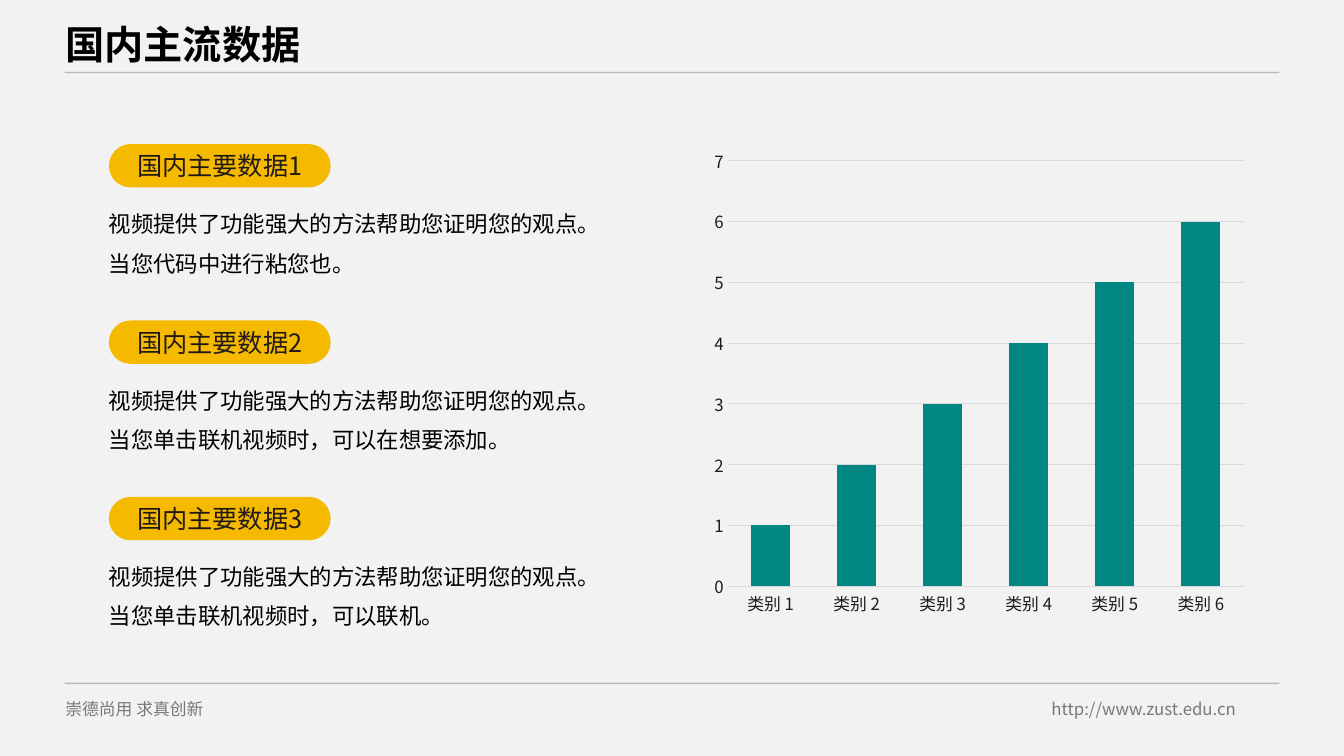
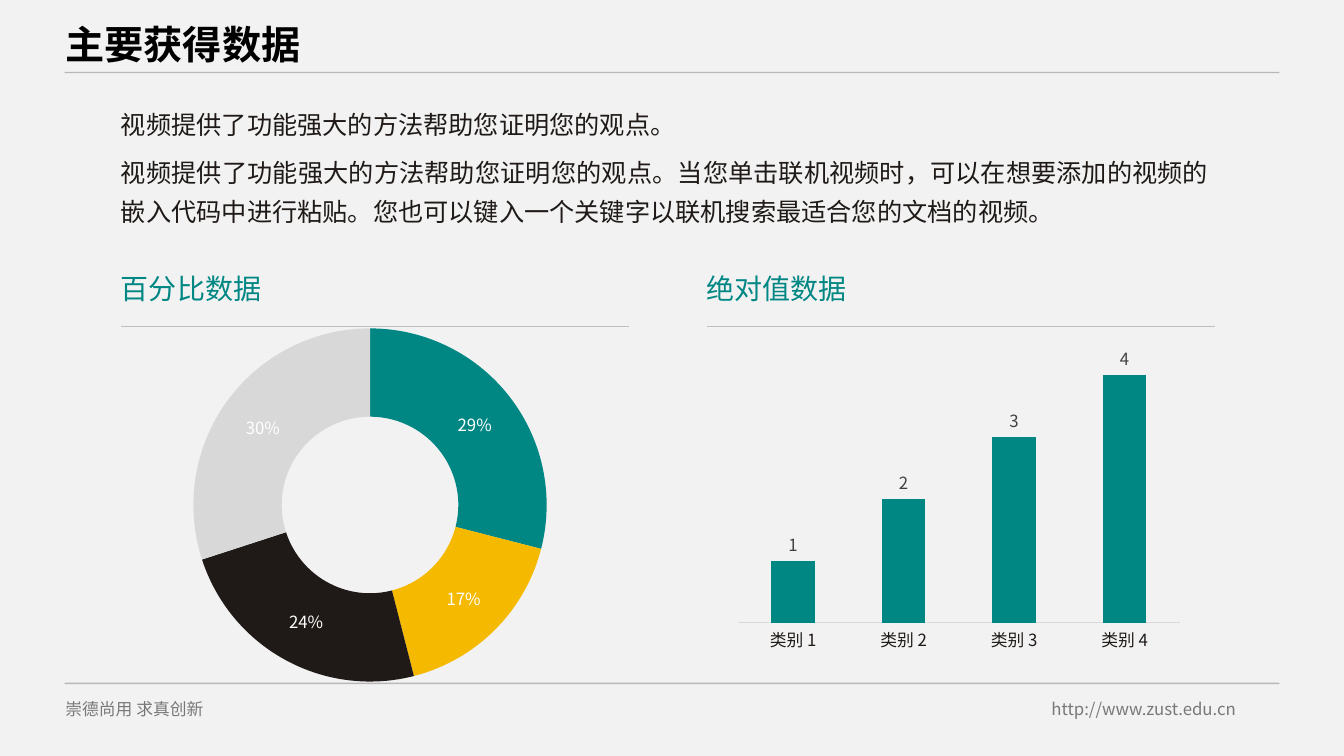
from lxml import etree
from pptx import Presentation
from pptx import util as u
from pptx.chart.data import CategoryChartData
from pptx.dml.color import RGBColor
from pptx.enum import chart as charts, shapes, text
from pptx.oxml import ns

FONT = "Noto Sans CJK SC"
BLACK, INK, TEAL, AMBER = "000000", "1F1A17", "008784", "F5B900"
PAPER, SILVER, GRID, RULE = "F2F2F2", "D8D8D8", "D9D9D9", "BFBFBF"
LABEL, WHITE = "404040", "FFFFFF"
JUSTIFY = text.PP_ALIGN.JUSTIFY
LEAD = "视频提供了功能强大的方法帮助您证明您的观点。"
PLOT_AREA = {"x": 0.048, "y": 0.031, "w": 0.921, "h": 0.789}


def inches(*lengths):
    return [u.Inches(length) for length in lengths]


def paint(fill, color, opacity=100):
    fill.solid()
    fill.fore_color.rgb = RGBColor.from_string(color)
    if opacity < 100:
        for node in fill._xPr.iter(ns.qn("a:srgbClr")):
            etree.SubElement(node, ns.qn("a:alpha")).set("val", str(opacity * 1000))


def style_font(font, size, color, bold=False, opacity=100):
    """Format a font, for Latin and East Asian letters alike."""
    font.size, font.bold, font.name = u.Pt(size), bold, FONT
    paint(font.fill, color, opacity)
    etree.SubElement(font._rPr, ns.qn("a:ea")).set("typeface", FONT)


def add_rule(page, left, top, width, color, weight, opacity=100):
    rule = page.shapes.add_connector(
        shapes.MSO_CONNECTOR.STRAIGHT, *inches(left, top, left + width, top))
    rule.line.width = u.Pt(weight)
    paint(rule.line.fill, color, opacity)
    etree.SubElement(rule.element.spPr, ns.qn("a:effectLst"))


def add_text(page, box, lines, size, color, insets=(0.1, 0.05, 0.1, 0.05),
             wrap=True, align=JUSTIFY, spacing=1.0, gap=0, opacity=100):
    frame = page.shapes.add_textbox(*inches(*box)).text_frame
    frame.word_wrap = wrap
    (frame.margin_left, frame.margin_top,
     frame.margin_right, frame.margin_bottom) = inches(*insets)
    frame.text = "\n".join(lines)
    for index, para in enumerate(frame.paragraphs):
        para.alignment, para.line_spacing = align, spacing
        if index:
            para.space_before = u.Pt(gap)
        style_font(para.font, size, color, opacity=opacity)


def dress_layout(deck, layout, page):
    """Draw rules and footers on a page, then move them to its layout."""
    paint(deck.slide_master.background.fill, PAPER)
    for holder in list(layout.placeholders):
        if holder.placeholder_format.idx:
            holder.element.getparent().remove(holder.element)
        else:
            holder.left, holder.top, holder.width, holder.height = inches(
                0.55, 0.19, 7.87, 0.53)
    for top in (0.72, 6.78):
        add_rule(page, 0.64, top, 12.05, BLACK, 1, 23)
    for left, words in ((0.55, "崇德尚用 求真创新"), (10.33, "http://www.zust.edu.cn")):
        add_text(page, (left, 6.88, 2.48, 0.3), [words], 12, BLACK, opacity=50)
    for shape in list(page.shapes):
        if not shape.is_placeholder:
            layout.shapes.element.append(shape.element)


def set_title(page, words):
    frame = page.shapes.title.text_frame
    frame.text = words
    frame.auto_size = text.MSO_AUTO_SIZE.NONE
    frame.vertical_anchor = text.MSO_ANCHOR.BOTTOM
    para = frame.paragraphs[0]
    para.alignment, para.line_spacing = text.PP_ALIGN.LEFT, 0.9
    style_font(para.font, 28, BLACK, bold=True)


def add_chart(page, box, kind, categories, values):
    data = CategoryChartData()
    data.categories = categories
    data.add_series("Series 1", values)
    chart = page.shapes.add_chart(kind, *inches(*box), data).chart
    chart.has_title = chart.has_legend = False
    style_font(chart.font, 10, BLACK)
    return chart


def fix_plot_area(chart):
    """Pin the inner plot area to set fractions of the chart."""
    area = chart._chartSpace.chart.plotArea
    for old in area.findall(ns.qn("c:layout")):
        area.remove(old)
    layout = etree.Element(ns.qn("c:layout"))
    manual = etree.SubElement(layout, ns.qn("c:manualLayout"))
    settings = {"layoutTarget": "inner", "xMode": "edge", "yMode": "edge", **PLOT_AREA}
    for name, value in settings.items():
        etree.SubElement(manual, ns.qn(f"c:{name}")).set("val", str(value))
    area.insert(0, layout)


def add_columns(page, box, count, top_value, gap, show_scale):
    """Chart rising columns, read from a scale or from labels on the bars."""
    values = range(1, count + 1)
    chart = add_chart(page, box, charts.XL_CHART_TYPE.COLUMN_CLUSTERED,
                      [f"类别 {value}" for value in values], values)
    fix_plot_area(chart)
    plot = chart.plots[0]
    plot.gap_width, plot.vary_by_categories = gap, False
    paint(plot.series[0].format.fill, TEAL)
    for axis in (chart.category_axis, chart.value_axis):
        axis.major_tick_mark = axis.minor_tick_mark = charts.XL_TICK_MARK.NONE
        style_font(axis.tick_labels.font, 12, INK)
    paint(chart.category_axis.format.line.fill, GRID)
    chart.category_axis.format.line.width = u.Pt(0.75)
    scale = chart.value_axis
    scale.minimum_scale, scale.maximum_scale, scale.major_unit = 0, top_value, 1
    scale.format.line.fill.background()
    scale.visible = scale.has_major_gridlines = show_scale
    if show_scale:
        grid = scale.major_gridlines.format.line
        grid.width = u.Pt(0.75)
        paint(grid.fill, GRID)
    else:
        plot.has_data_labels = True
        labels = plot.data_labels
        labels.show_value = True
        labels.position = charts.XL_LABEL_POSITION.OUTSIDE_END
        style_font(labels.font, 12, LABEL)


def add_doughnut(page, box):
    chart = add_chart(page, box, charts.XL_CHART_TYPE.DOUGHNUT, "1234", (29, 17, 24, 30))
    plot = chart.plots[0]
    for hole in chart._chartSpace.iter(ns.qn("c:holeSize")):
        hole.set("val", "70")
    for index, color in enumerate((TEAL, AMBER, INK, SILVER)):
        paint(plot.series[0].points[index].format.fill, color)
    plot.has_data_labels = True
    labels = plot.data_labels
    labels.show_percentage, labels.show_value = True, False
    labels.number_format, labels.number_format_is_linked = "0%", False
    style_font(labels.font, 12, WHITE)


def add_point(page, left, top, heading, lines):
    pill = page.shapes.add_shape(
        shapes.MSO_SHAPE.ROUNDED_RECTANGLE, *inches(left, top, 2.2, 0.43))
    pill.adjustments[0] = 0.5
    pill.shadow.inherit = False
    paint(pill.fill, AMBER)
    pill.line.fill.background()
    frame = pill.text_frame
    frame.text = heading
    frame.vertical_anchor = text.MSO_ANCHOR.MIDDLE
    frame.paragraphs[0].alignment = text.PP_ALIGN.CENTER
    style_font(frame.paragraphs[0].font, 18, INK)
    add_text(page, (left, top + 0.53, 5.2, 0.81), lines, 16, BLACK,
             insets=(0, 0.05, 0, 0.05), spacing=1.3, gap=3)


def add_section_heading(page, left, top, words):
    add_text(page, (left, top, 1.4, 0.34), [words], 20, TEAL, insets=(0, 0, 0, 0),
             wrap=False, align=text.PP_ALIGN.LEFT)
    add_rule(page, left, top + 0.55, 5.04, RULE, 0.5)


def build_points_page(page):
    set_title(page, "国内主流数据")
    details = ("当您代码中进行粘您也。", "当您单击联机视频时，可以在想要添加。",
               "当您单击联机视频时，可以联机。")
    for index, detail in enumerate(details):
        add_point(page, 1.08, 1.43 + 1.75 * index, f"国内主要数据{index + 1}", [LEAD, detail])
    add_columns(page, (6.95, 1.43, 5.56, 5.35), 6, 7, 122, show_scale=True)


def build_comparison_page(page):
    set_title(page, "主要获得数据")
    detail = ("当您单击联机视频时，可以在想要添加的视频的嵌入代码中进行粘贴。"
              "您也可以键入一个关键字以联机搜索最适合您的文档的视频。")
    add_text(page, (1.2, 0.95, 10.89, 1.33), [LEAD, LEAD + detail], 18, INK,
             insets=(0, 0.05, 0.1, 0.05), spacing=1.3, gap=6)
    add_doughnut(page, (1.1, 3.12, 5.14, 3.78))
    for left, words in ((1.2, "百分比数据"), (7.01, "绝对值数据")):
        add_section_heading(page, left, 2.69, words)
    add_columns(page, (7.09, 3.3, 4.76, 3.51), 4, 4.5, 155, show_scale=False)


def main():
    deck = Presentation()
    deck.slide_width, deck.slide_height = inches(13.33, 7.5)
    layout = deck.slide_layouts.get_by_name("Title Only")
    points_page, comparison_page = [deck.slides.add_slide(layout) for _ in range(2)]
    dress_layout(deck, layout, points_page)
    build_points_page(points_page)
    build_comparison_page(comparison_page)
    deck.save("out.pptx")


if __name__ == "__main__":
    main()
